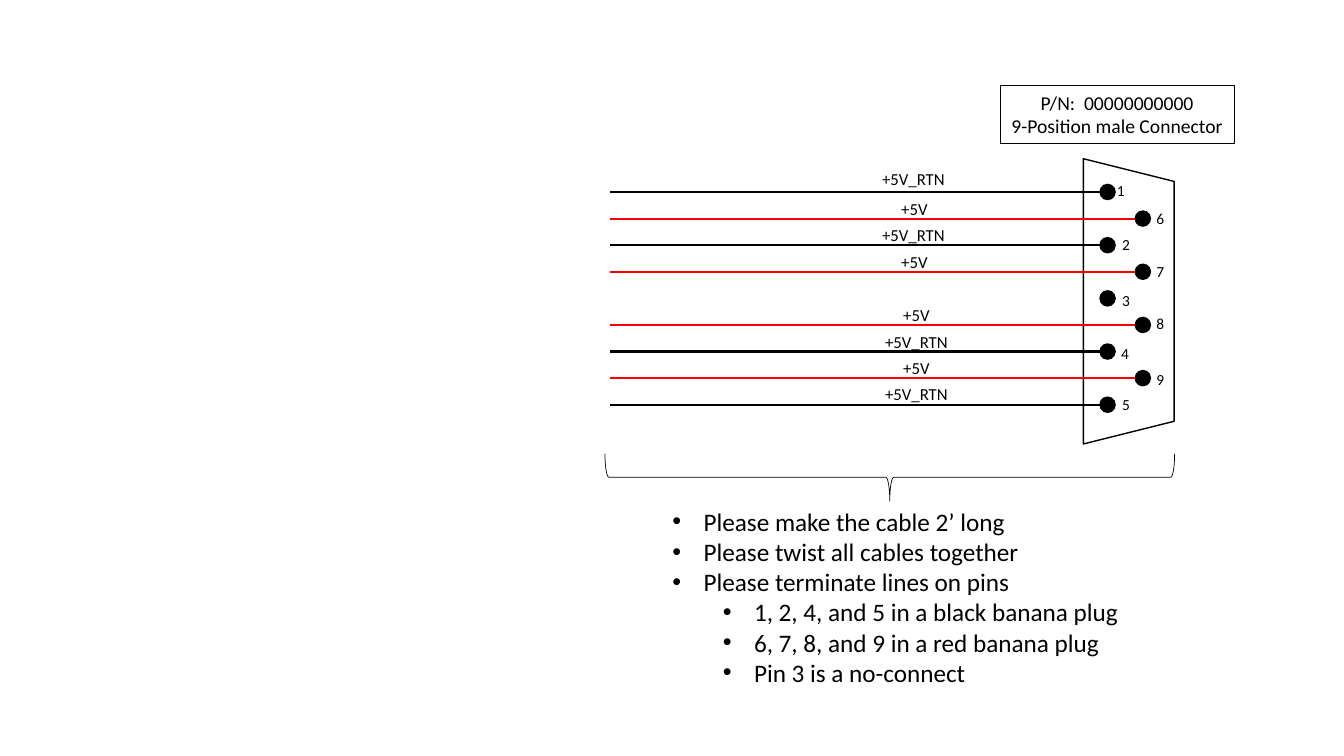
from pptx import Presentation
from pptx.dml.color import RGBColor
from pptx.enum.shapes import MSO_CONNECTOR as Link, MSO_SHAPE as Kind
from pptx.enum.text import MSO_AUTO_SIZE as Fit, PP_ALIGN as Align
from pptx.util import Inches, Pt
from lxml.etree import SubElement
from pptx.oxml.ns import qn

COLORS = {"black": "000000", "red": "FF0000"}
FONT = "Calibri"
TITLE = ["P/N:  00000000000", "9-Position male Connector"]
RTN, VOLT = "+5V_RTN", "+5V"
# pin, pin label left and top, wire label, its left and top
PINS = [
    ("1", 10.98, 1.75, RTN, 8.65, 1.62),
    ("6", 11.37, 2.03, VOLT, 8.84, 1.92),
    ("2", 11.03, 2.28, RTN, 8.65, 2.18),
    ("7", 11.37, 2.55, VOLT, 8.84, 2.45),
    ("3", 11.03, 2.84, None, 0, 0),
    ("8", 11.37, 3.07, VOLT, 8.86, 2.97),
    ("4", 11.02, 3.36, RTN, 8.68, 3.24),
    ("9", 11.37, 3.62, VOLT, 8.86, 3.5),
    ("5", 11.03, 3.87, RTN, 8.68, 3.76),
]
NOTES = [
    (0, "Please make the cable 2’ long"),
    (0, "Please twist all cables together"),
    (0, "Please terminate lines on pins"),
    (1, "1, 2, 4, and 5 in a black banana plug"),
    (1, "6, 7, 8, and 9 in a red banana plug"),
    (1, "Pin 3 is a no-connect"),
]
WIDTHS = {RTN: 0.83, VOLT: 0.47}
COLS = (10.91, 11.26)
TOP, STEP, DOT, START = 1.83, 2.11 / 8, 0.15, 6.05

deck = Presentation()
deck.slide_width, deck.slide_height = Inches(13.33), Inches(7.5)
slide = deck.slides.add_slide(deck.slide_layouts[6])
shapes = slide.shapes


def color(name):
    return RGBColor.from_string(COLORS[name])


def draw(kind, box, line, fill=None, turn=0):
    shape = shapes.add_shape(kind, *map(Inches, box))
    shape.shadow.inherit = False
    shape.rotation = turn
    shape.line.color.rgb = color("black")
    shape.line.width = Pt(line)
    if fill:
        shape.fill.solid()
        shape.fill.fore_color.rgb = color(fill)
    else:
        shape.fill.background()
    return shape


def write(shape, lines, size, align=Align.LEFT):
    frame = shape.text_frame
    frame.word_wrap = False
    frame.auto_size = Fit.SHAPE_TO_FIT_TEXT
    frame.text = "\n".join(lines)
    for para in frame.paragraphs:
        para.alignment = align
        para.font.name = FONT
        para.font.size = Pt(size)
        para.font.color.rgb = color("black")
    return frame.paragraphs


def label(box, lines, size):
    return write(shapes.add_textbox(*map(Inches, box)), lines, size)


def wire(end, y, name):
    line = shapes.add_connector(Link.STRAIGHT, Inches(end), Inches(y), Inches(START), Inches(y))
    line.line.color.rgb = color(name)
    line.line.width = Pt(1.5)
    SubElement(line._element.spPr, qn("a:effectLst"))


write(draw(Kind.RECTANGLE, (9.92, 0.85, 2.32, 0.57), 0.75), TITLE, 14, Align.CENTER)
draw(Kind.TRAPEZOID, (9.78, 2.54, 2.83, 0.9), 1, turn=90)

for row, (pin, left, top, text, x, y) in enumerate(PINS):
    col, dot = COLS[row % 2], TOP + row * STEP
    draw(Kind.OVAL, (col, dot, DOT, DOT), 1, "black")
    label((left, top, 0.28, 0.29), [pin], 11)
    if text:
        wire(col, dot + DOT / 2, "black" if text == RTN else "red")
        label((x, y, WIDTHS[text], 0.3), [text], 12)

draw(Kind.LEFT_BRACE, (8.59, 1.91, 0.47, 5.65), 0.5, turn=270)

paras = label((6.57, 4.97, 4.68, 1.92), [text for _, text in NOTES], 18)
for para, (level, _) in zip(paras, NOTES):
    para.level = level
    props = para._p.get_or_add_pPr()
    props.set("marL", str(Inches(0.31 + level * 0.5)))
    props.set("indent", str(-Inches(0.31)))
    SubElement(props, qn("a:buFont"), typeface="Arial")
    SubElement(props, qn("a:buChar"), char="•")
    run = props.find(qn("a:defRPr"))
    if run is not None:
        props.append(run)

deck.save("out.pptx")
